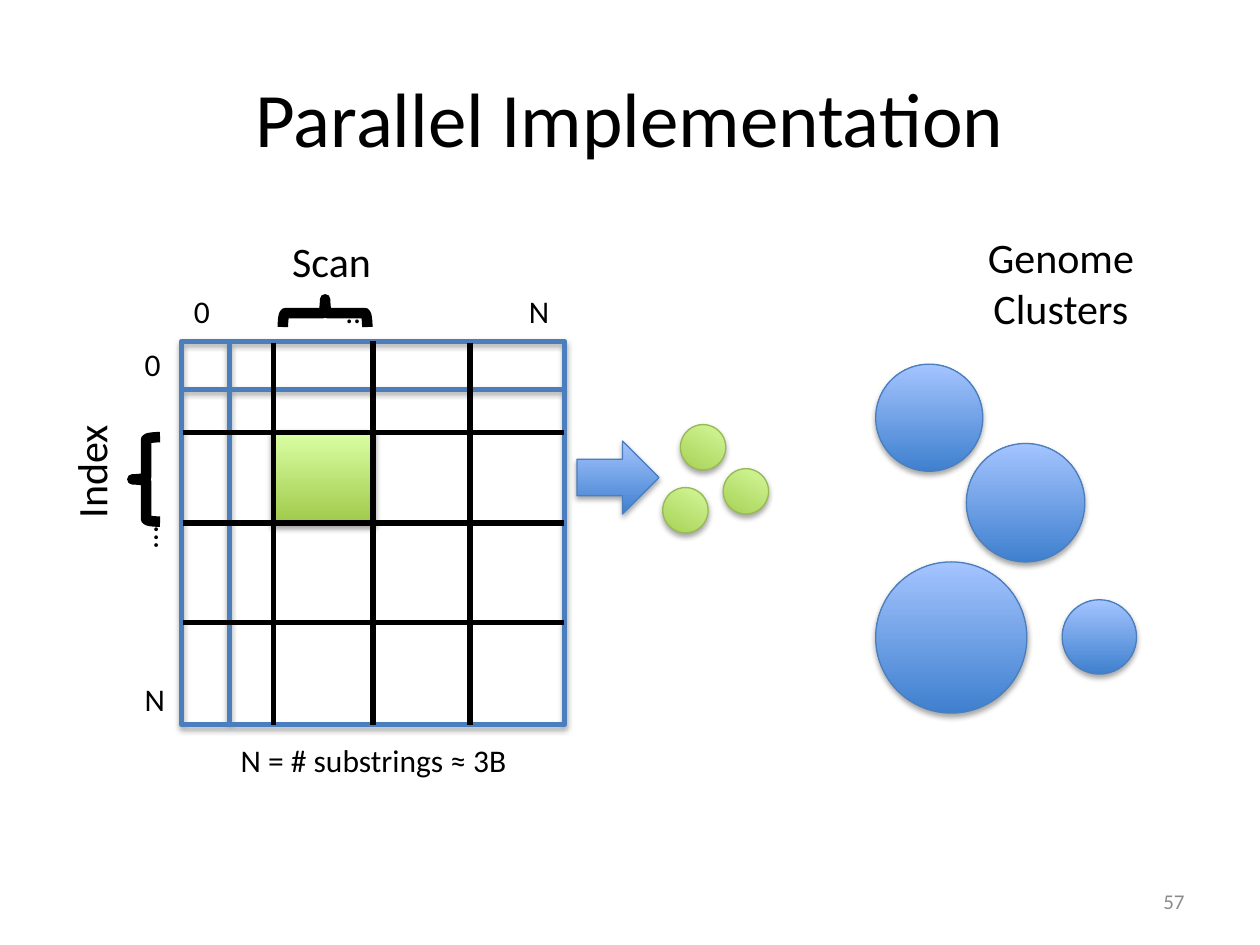
from lxml import etree
from pptx import Presentation
from pptx import util as u
from pptx.dml.color import RGBColor
from pptx.enum import shapes, text
from pptx.oxml import ns

COLORS = {
    "ink": "000000", "number": "8C8C8C", "blue edge": "4B7EBC", "green edge": "98B955",
    "blue dark": "3F80CE", "blue light": "A4C4FF",
    "green dark": "A0CA4A", "green light": "DAFFA5",
}
COLUMNS, ROWS = 100, 75
CELL = u.Inches(0.1)
MATRIX = (14.4, 27.1, 30.4, 30.4)
ROW_LINES = (34.3, 41.5, 49.4)
COLUMN_LINES = (21.7, 29.6, 37.3)
PRESET = shapes.MSO_SHAPE


def grid(*cells):
    """Turn grid columns and rows into lengths."""
    return [round(cell * CELL) for cell in cells]


def color(name):
    """Look up a named colour."""
    return RGBColor.from_string(COLORS[name])


def add_effects(shape, shadowed):
    """Give the shape a soft shadow below it, or an empty effect list."""
    effects = etree.SubElement(shape.element.spPr, ns.qn("a:effectLst"))
    if shadowed:
        shadow = etree.SubElement(effects, ns.qn("a:outerShdw"), blurRad="40000",
                                  dist="23000", dir="5400000", rotWithShape="0")
        black = etree.SubElement(shadow, ns.qn("a:srgbClr"), val=COLORS["ink"])
        etree.SubElement(black, ns.qn("a:alpha"), val="35000")


def add_figure(slide, preset, box, edge, width, hue=None, rotation=0, shadowed=True):
    """Add an outlined preset shape, with a vertical gradient if a hue is given."""
    shape = slide.shapes.add_shape(preset, *grid(*box))
    shape.rotation = rotation
    if hue:
        shape.fill.gradient()
        shape.fill.gradient_angle = 90
        for stop, tone in zip(shape.fill.gradient_stops, ("dark", "light")):
            stop.color.rgb = color(f"{hue} {tone}")
            stop.position = 0 if tone == "dark" else 1
    else:
        shape.fill.background()
    shape.line.color.rgb = color(edge)
    shape.line.width = u.Pt(width)
    add_effects(shape, shadowed)
    return shape


def add_circles(slide, circles, hue, rotation=0):
    """Add gradient circles given as left, top and diameter."""
    for left, top, diameter in circles:
        add_figure(slide, PRESET.OVAL, (left, top, diameter, diameter),
                   f"{hue} edge", 0.75, hue, rotation)


def add_label(slide, words, box, size=18, align=text.PP_ALIGN.LEFT, rotation=0,
              upward=False, ink="ink"):
    """Add a wrapped text box, optionally rotated or with text running upward."""
    label = slide.shapes.add_textbox(*grid(*box))
    label.rotation = rotation
    frame = label.text_frame
    frame.word_wrap = True
    frame.auto_size = text.MSO_AUTO_SIZE.SHAPE_TO_FIT_TEXT
    if upward:
        frame._txBody.bodyPr.set("vert", "vert270")
    frame.text = words
    paragraph = frame.paragraphs[0]
    paragraph.alignment = align
    format_font(paragraph.font, size, ink)
    return label


def format_font(font, size, ink="ink"):
    """Set the typeface, size and colour."""
    font.name = "Calibri"
    font.size = u.Pt(size)
    font.color.rgb = color(ink)


def add_rule(slide, start, end):
    """Add a thick black line of the matrix."""
    rule = slide.shapes.add_connector(shapes.MSO_CONNECTOR.STRAIGHT, *grid(*start, *end))
    rule.line.color.rgb = color("ink")
    rule.line.width = u.Pt(3)
    add_effects(rule, False)
    return rule


def add_matrix(slide):
    """Add the matrix, its dividing lines and the highlighted block."""
    left, top, width, height = MATRIX
    matrix = add_figure(slide, PRESET.FLOWCHART_INTERNAL_STORAGE, MATRIX, "blue edge", 3)
    for row in ROW_LINES:
        add_rule(slide, (left + 0.1, row), (left + width, row))
    for column in COLUMN_LINES:
        rule = add_rule(slide, (column, top + 0.1), (column, top + height))
        if column == left + width / 2:
            rule.begin_connect(matrix, 0)
            rule.end_connect(matrix, 2)
    block = (COLUMN_LINES[0], ROW_LINES[0],
             COLUMN_LINES[1] - COLUMN_LINES[0], ROW_LINES[1] - ROW_LINES[0])
    add_figure(slide, PRESET.RECTANGLE, block, "ink", 3, "green")


def add_axes(slide):
    """Add the scan and index labels, ticks and braces around the matrix."""
    for words, left in (("0", 14.4), ("…", 26.5), ("N", 41)):
        add_label(slide, words, (left, 22.7, 4.7, 4))
    for words, left, top, rotation in (("0", 10.5, 26.9, 0), ("…", 9.2, 40.2, 270),
                                       ("N", 10.5, 53.5, 0)):
        add_label(slide, words, (left, top, 4.7, 4), rotation=rotation)
    for words, brace, label, rotation in (("Index", (10.5, 34.7), (4.7, 32), 0),
                                          ("Scan", (24.7, 21.5), (24.2, 16.2), 90)):
        add_figure(slide, PRESET.LEFT_BRACE, (*brace, 2.2, 6.7), "ink", 6,
                   rotation=rotation, shadowed=False)
        add_label(slide, words, (*label, 6.1, 10.1), 24, rotation=rotation, upward=True)
    add_label(slide, "N = # substrings ≈ 3B", (14.5, 58.3, 30.3, 4),
              align=text.PP_ALIGN.CENTER)


def add_clusters(slide):
    """Add the arrow, the block's clusters and the genome clusters."""
    add_circles(slide, ((69.5, 28.9, 8.5), (69.5, 44.6, 12),
                        (76.7, 35.2, 9.4), (84.3, 47.6, 5.9)), "blue")
    add_circles(slide, ((54, 33.7, 3.6), (52.6, 38.7, 3.6), (57.4, 37.2, 3.6)),
                "green", 28.8)
    add_figure(slide, PRESET.RIGHT_ARROW, (45.8, 35, 6.5, 5.8), "blue edge", 0.75, "blue")
    add_label(slide, "Genome Clusters", (72.3, 17.9, 23.8, 9.1), 24, text.PP_ALIGN.CENTER)


def add_title(slide, words):
    """Fill, place and format the title placeholder."""
    title = slide.shapes.title
    title.left, title.top, title.width, title.height = grid(5, 3, 90, 12.5)
    title.text_frame.text = words
    title.text_frame.vertical_anchor = text.MSO_ANCHOR.MIDDLE
    paragraph = title.text_frame.paragraphs[0]
    paragraph.alignment = text.PP_ALIGN.CENTER
    format_font(paragraph.font, 44)


def main():
    """Build and save the slide."""
    presentation = Presentation()
    presentation.slide_width, presentation.slide_height = grid(COLUMNS, ROWS)
    slide = presentation.slides.add_slide(presentation.slide_layouts.get_by_name("Title Only"))
    add_title(slide, "Parallel Implementation")
    add_matrix(slide)
    add_axes(slide)
    add_clusters(slide)
    number = add_label(slide, "57", (71.7, 69.5, 23.3, 4), 12, text.PP_ALIGN.RIGHT, ink="number")
    number.text_frame.auto_size = text.MSO_AUTO_SIZE.NONE
    number.text_frame.vertical_anchor = text.MSO_ANCHOR.MIDDLE
    presentation.save("out.pptx")


if __name__ == "__main__":
    main()
